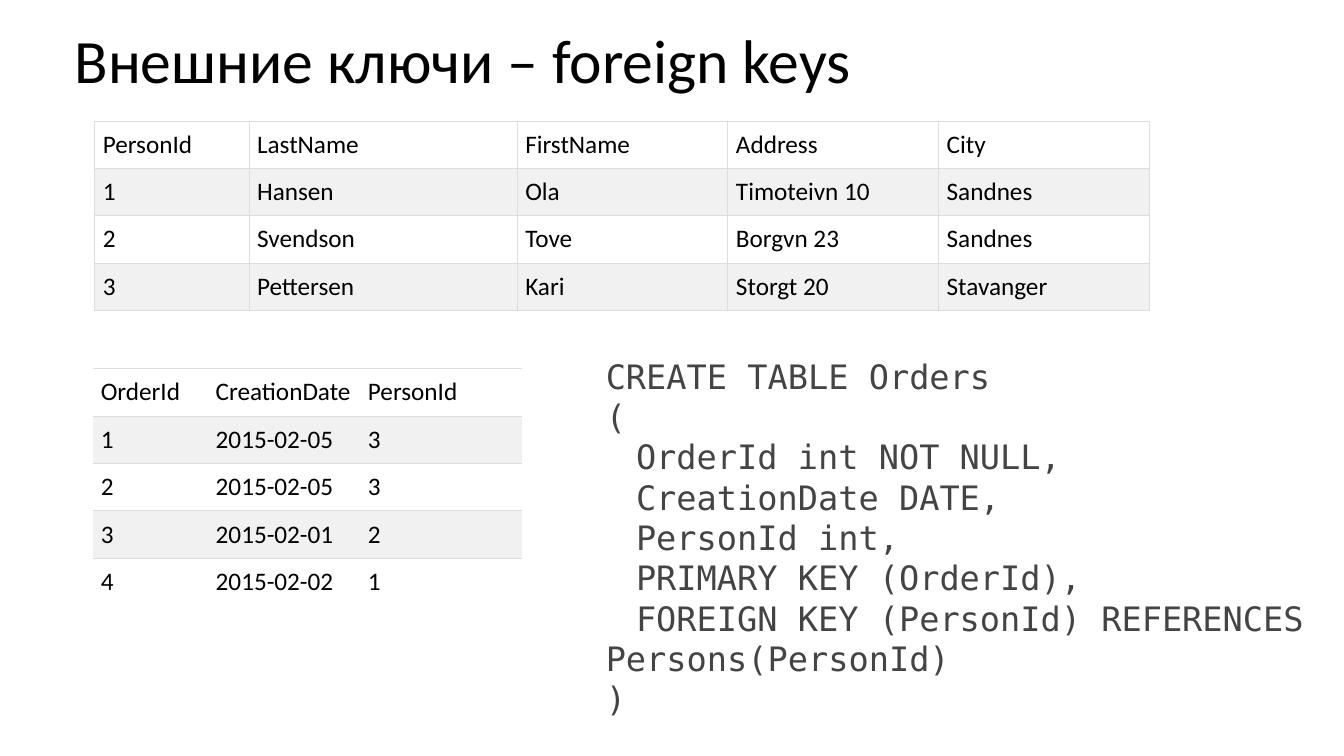
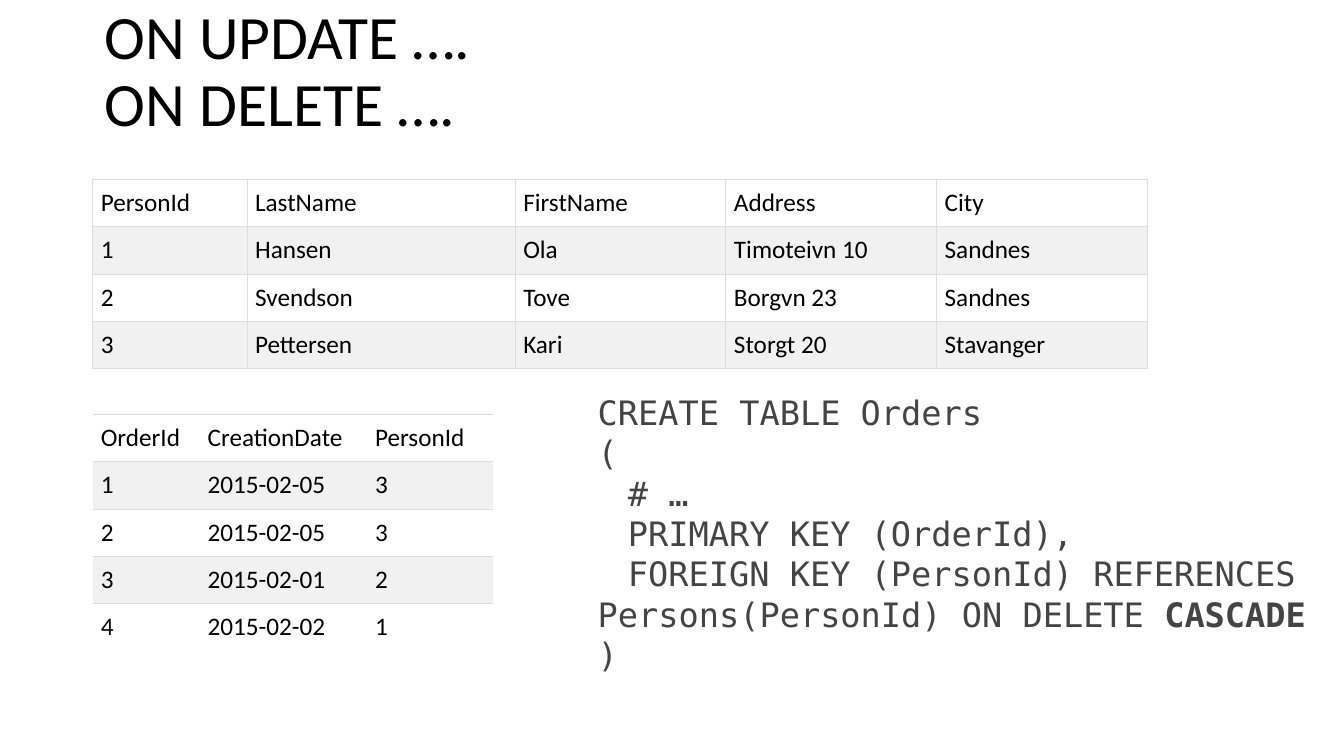
from dataclasses import dataclass

from lxml.etree import SubElement
from pptx import Presentation
from pptx.dml.color import RGBColor
from pptx.enum.text import MSO_ANCHOR as Anchor, MSO_AUTO_SIZE as AutoSize, PP_ALIGN as Align
from pptx.oxml.ns import qn
from pptx.util import Inches, Pt


@dataclass(frozen=True)
class Theme:
    body_font: str = "Calibri"
    code_font: str = "DejaVu Sans Mono"
    ink: str = "000000"
    code_ink: str = "444444"
    rule: str = "DDDDDD"
    row_fills: tuple = ("FFFFFF", "F1F1F1")
    title_size: float = 44
    cell_size: float = 18
    code_size: float = 24
    code_leading: float = 28.8
    rule_width: float = 0.75


THEME = Theme()
TITLE_ONLY = 5
ROW_HEIGHT = 0.47
CELL_INSET = 0.08
CODE_INDENT = 0.3

PERSONS = [
    ("PersonId", "LastName", "FirstName", "Address", "City"),
    ("1", "Hansen", "Ola", "Timoteivn 10", "Sandnes"),
    ("2", "Svendson", "Tove", "Borgvn 23", "Sandnes"),
    ("3", "Pettersen", "Kari", "Storgt 20", "Stavanger"),
]
PERSONS_WIDTHS = (1.53, 2.66, 2.09, 2.09, 2.09)
ORDERS = [
    ("OrderId", "CreationDate", "PersonId"),
    ("1", "2015-02-05", "3"),
    ("2", "2015-02-05", "3"),
    ("3", "2015-02-01", "2"),
    ("4", "2015-02-02", "1"),
]

PRIMARY_KEY = "PRIMARY KEY (OrderId),"
FOREIGN_KEY = "FOREIGN KEY (PersonId) REFERENCES Persons(PersonId)"
ORDERS_COLUMNS = ["OrderId int NOT NULL,", "CreationDate DATE,", "PersonId int,"]


def write_text(paragraph, text, size, font=THEME.body_font, color=THEME.ink, bold=False):
    for index, line in enumerate(text.split("\n")):
        if index:
            paragraph.add_line_break()
        run = paragraph.add_run()
        run.text = line
        run.font.size = Pt(size)
        run.font.name = font
        run.font.bold = bold
        run.font.color.rgb = RGBColor.from_string(color)


def add_title(slide, box, text):
    title = slide.shapes.title
    title.left, title.top, title.width, title.height = map(Inches, box)
    frame = title.text_frame
    frame.auto_size = AutoSize.NONE
    frame.vertical_anchor = Anchor.MIDDLE
    heading = frame.paragraphs[0]
    heading.alignment = Align.LEFT
    heading.line_spacing = 0.9
    write_text(heading, text, THEME.title_size)


def set_borders(cell, ruled_sides):
    properties = cell._tc.get_or_add_tcPr()
    for side in "LRTB":
        border = SubElement(properties, qn(f"a:ln{side}"), w=str(Pt(THEME.rule_width)))
        if side in ruled_sides:
            paint = SubElement(border, qn("a:solidFill"))
            SubElement(paint, qn("a:srgbClr"), val=THEME.rule)
        else:
            SubElement(border, qn("a:noFill"))


def add_data_table(slide, left, top, widths, records, ruled_sides, last_sides):
    frame = slide.shapes.add_table(
        len(records), len(widths), Inches(left), Inches(top),
        Inches(sum(widths)), Inches(ROW_HEIGHT * len(records)))
    table = frame.table
    table.first_row = table.horz_banding = False
    for column, width in zip(table.columns, widths):
        column.width = Inches(width)
    for index, (row, record) in enumerate(zip(table.rows, records)):
        row.height = Inches(ROW_HEIGHT)
        sides = last_sides if index == len(records) - 1 else ruled_sides
        for cell, value in zip(row.cells, record):
            set_borders(cell, sides)
            cell.fill.solid()
            cell.fill.fore_color.rgb = RGBColor.from_string(THEME.row_fills[index % 2])
            cell.margin_left = cell.margin_right = Inches(CELL_INSET)
            cell.margin_top = cell.margin_bottom = Inches(CELL_INSET)
            write_text(cell.text_frame.paragraphs[0], value, THEME.cell_size)


def add_orders_code(slide, box, clauses, bold_ending=""):
    frame = slide.shapes.add_textbox(*map(Inches, box)).text_frame
    frame.word_wrap = True
    frame.auto_size = AutoSize.SHAPE_TO_FIT_TEXT
    style = dict(size=THEME.code_size, font=THEME.code_font, color=THEME.code_ink)
    statement = ["CREATE TABLE Orders", "(", *clauses, ")"]
    for index, line in enumerate(statement):
        paragraph = frame.add_paragraph() if index else frame.paragraphs[0]
        paragraph.line_spacing = Pt(THEME.code_leading)
        write_text(paragraph, line, **style)
        if line in clauses:
            paragraph._p.get_or_add_pPr().set("indent", str(Inches(CODE_INDENT)))
        if bold_ending and line == clauses[-1]:
            write_text(paragraph, bold_ending, bold=True, **style)


def add_keys_slide(deck, title, title_box, persons_at, orders_at, orders_widths,
                   code_box, clauses, bold_ending=""):
    slide = deck.slides.add_slide(deck.slide_layouts[TITLE_ONLY])
    add_title(slide, title_box, title)
    add_data_table(slide, *persons_at, PERSONS_WIDTHS, PERSONS, "LRTB", "LRTB")
    add_data_table(slide, *orders_at, orders_widths, ORDERS, "TB", "T")
    add_orders_code(slide, code_box, clauses, bold_ending)


def main():
    deck = Presentation()
    deck.slide_width, deck.slide_height = Inches(13.33), Inches(7.5)
    add_keys_slide(
        deck, "Внешние ключи – foreign keys", (0.64, -0.09, 11.5, 1.45),
        persons_at=(0.94, 1.2), orders_at=(0.92, 3.66), orders_widths=(1.14, 1.51, 1.61),
        code_box=(5.91, 3.48, 8.22, 3.74),
        clauses=[*ORDERS_COLUMNS, PRIMARY_KEY, FOREIGN_KEY])
    add_keys_slide(
        deck, "ON UPDATE ….\nON DELETE ….", (0.94, 0, 11.5, 1.45),
        persons_at=(0.92, 1.78), orders_at=(0.92, 4.11), orders_widths=(1.06, 1.66, 1.25),
        code_box=(5.83, 3.84, 8.22, 2.93),
        clauses=["# …", PRIMARY_KEY, FOREIGN_KEY + " ON DELETE "], bold_ending="CASCADE")
    deck.save("out.pptx")


if __name__ == "__main__":
    main()
